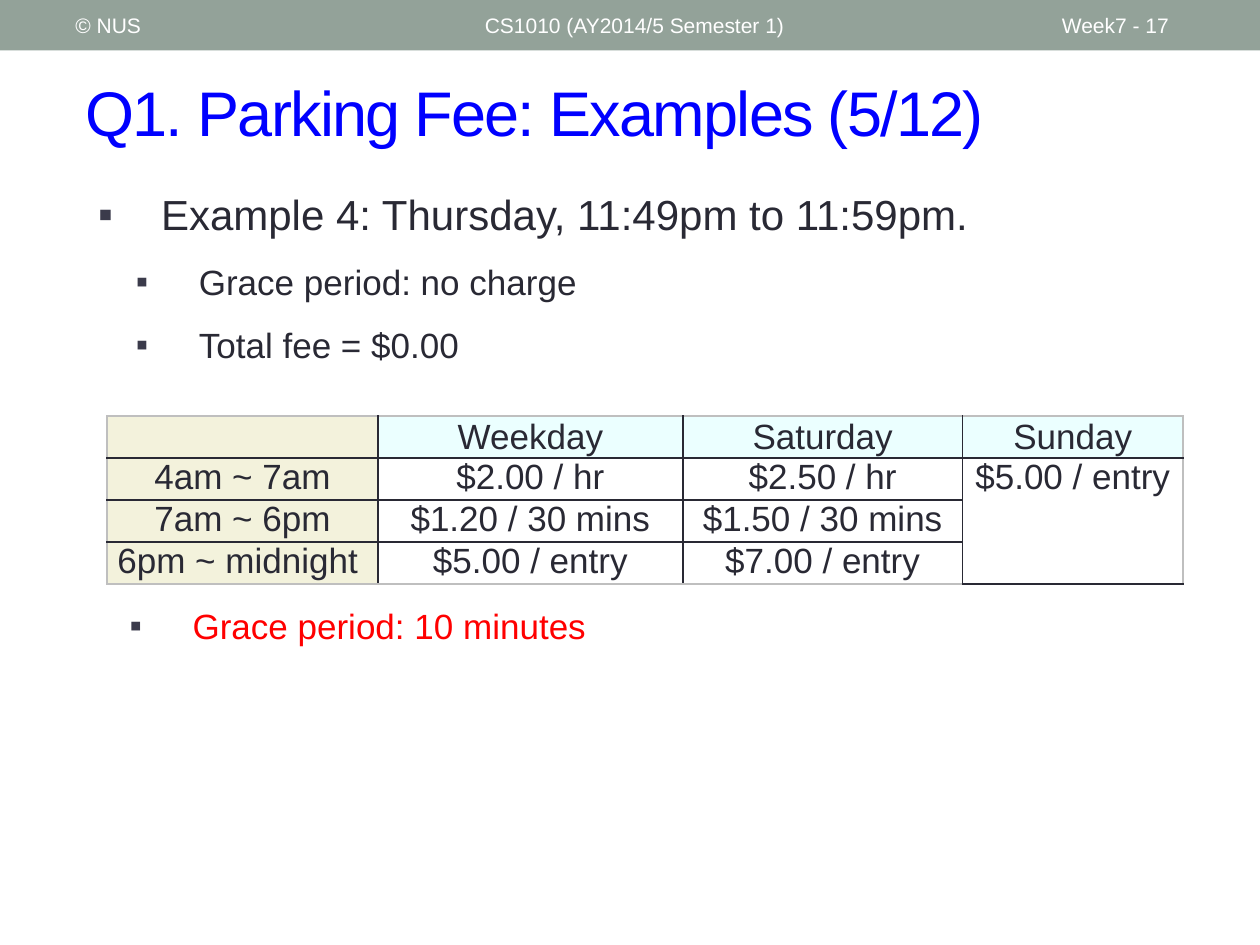
"""Builds the parking fee example slide with its rate table."""
from dataclasses import dataclass
from typing import Optional

from lxml.etree import SubElement
from pptx import Presentation
from pptx.dml.color import RGBColor
from pptx.enum.shapes import MSO_SHAPE as Shape
from pptx.enum.text import MSO_ANCHOR as Anchor, PP_ALIGN as Align
from pptx.oxml.ns import qn
from pptx.util import Inches, Pt

COLUMNS, ROWS = 100, 75


@dataclass(frozen=True)
class Theme:
    font: str = "Arial"
    band: str = "93A299"
    paper: str = "FFFFFF"
    ink: str = "292934"
    bullet: str = "3B3B4B"
    title: str = "0000FF"
    alert: str = "FF0000"
    edge: str = "BFBFBF"
    row_head: str = "F3F2DC"
    column_head: str = "EBFFFF"
    title_size: int = 36
    lead_size: int = 24
    body_size: int = 20
    band_size: int = 12


@dataclass(frozen=True)
class Area:
    left: float
    top: float
    width: float
    height: float


@dataclass(frozen=True)
class Line:
    text: str
    size: int
    color: str
    level: Optional[int] = None
    spacing: int = 0


THEME = Theme()
BAND_TOP, BAND_HEIGHT = 0.2, 3.6
BAND_LABELS = [
    ("© NUS", 5, 31.7),
    ("CS1010 (AY2014/5 Semester 1)", 37.5, 45),
    ("Week7 - 17", 83.3, 11.7),
]
TITLE = Line("Q1. Parking Fee: Examples (5/12)", THEME.title_size, THEME.title, spacing=-100)
EXAMPLE = [
    Line("Example 4: Thursday, 11:49pm to 11:59pm.", THEME.lead_size, THEME.ink, 0),
    Line("Grace period: no charge", THEME.body_size, THEME.ink, 1),
    Line("Total fee = $0.00", THEME.body_size, THEME.ink, 1),
]
GRACE = Line("Grace period: 10 minutes", THEME.body_size, THEME.alert, 1)
RATES = [
    ["", "Weekday", "Saturday", "Sunday"],
    ["4am ~ 7am", "$2.00 / hr", "$2.50 / hr", "$5.00 / entry"],
    ["7am ~ 6pm", "$1.20 / 30 mins", "$1.50 / 30 mins", ""],
    ["6pm ~ midnight ", "$5.00 / entry", "$7.00 / entry", ""],
]
RATE_WIDTHS = [21.5, 24.2, 22.2, 17.5]
RATE_HEIGHT = 3.1


def grid(units: float) -> int:
    return Inches(units * 10 / COLUMNS)


def place(area: Area) -> tuple:
    return tuple(map(grid, (area.left, area.top, area.width, area.height)))


def assign(target, values: dict) -> None:
    for name, value in values.items():
        setattr(target, name, value)


def add_color(parent, tag: str, color: str) -> None:
    SubElement(SubElement(parent, qn(tag)), qn("a:srgbClr"), val=color)


def write(para, line: Line) -> None:
    span = para.add_run()
    span.text = line.text
    assign(span.font, {"name": THEME.font, "size": Pt(line.size)})
    span.font.color.rgb = RGBColor.from_string(line.color)
    if line.spacing:
        span.font._element.set("spc", str(line.spacing))


def add_bullet(para, level: int) -> None:
    properties = para._p.get_or_add_pPr()
    properties.set("marL", str(Inches(0.5 + 0.3 * level)))
    properties.set("indent", str(Inches(-0.5)))
    add_color(properties, "a:buClr", THEME.bullet)
    SubElement(properties, qn("a:buFont"), typeface=THEME.font)
    SubElement(properties, qn("a:buChar"), char="▪")
    assign(para, {"level": level, "alignment": Align.JUSTIFY})


def add_text(page, area: Area, lines: list, anchor=Anchor.TOP) -> None:
    frame = page.shapes.add_textbox(*place(area)).text_frame
    assign(frame, {"word_wrap": True, "vertical_anchor": anchor})
    for index, line in enumerate(lines):
        para = frame.add_paragraph() if index else frame.paragraphs[0]
        if line.level is not None:
            add_bullet(para, line.level)
        if index:
            para.space_before = Pt(12)
        write(para, line)


def add_band(page) -> None:
    band = page.shapes.add_shape(Shape.RECTANGLE, *place(Area(0, 0, COLUMNS, 4)))
    band.shadow.inherit = False
    band.fill.solid()
    band.fill.fore_color.rgb = RGBColor.from_string(THEME.band)
    band.line.fill.background()
    for text, left, width in BAND_LABELS:
        label = Line(text, THEME.band_size, THEME.paper)
        add_text(page, Area(left, BAND_TOP, width, BAND_HEIGHT), [label], Anchor.MIDDLE)


def add_borders(cell, row: int, column: int) -> None:
    last_row, last_column = len(RATES) - 1, len(RATE_WIDTHS) - 1
    outer = {"L": column == 0, "R": column == last_column,
             "T": row == 0, "B": row == last_row}
    for side, is_edge in outer.items():
        border = SubElement(cell._tc.get_or_add_tcPr(), qn(f"a:ln{side}"), w=str(Pt(1)))
        add_color(border, "a:solidFill", THEME.edge if is_edge else THEME.ink)


def fill_cell(cell, text: str, row: int, column: int) -> None:
    add_borders(cell, row, column)
    cell.fill.solid()
    color = THEME.row_head if column == 0 else THEME.paper if row else THEME.column_head
    cell.fill.fore_color.rgb = RGBColor.from_string(color)
    assign(cell, {"margin_left": Inches(0.07), "margin_right": Inches(0.07),
                  "margin_top": 0, "margin_bottom": 0,
                  "vertical_anchor": Anchor.TOP if row else Anchor.MIDDLE})
    para = cell.text_frame.paragraphs[0]
    assign(para, {"alignment": Align.CENTER})
    if text:
        write(para, Line(text, THEME.body_size, THEME.ink))
    else:
        para.font.size = Pt(THEME.band_size)


def add_rates(page) -> None:
    area = Area(8.5, 33, sum(RATE_WIDTHS), RATE_HEIGHT * len(RATES))
    table = page.shapes.add_table(len(RATES), len(RATE_WIDTHS), *place(area)).table
    assign(table, {"first_row": False, "horz_banding": False})
    for column, width in zip(table.columns, RATE_WIDTHS):
        column.width = grid(width)
    for row in table.rows:
        row.height = grid(RATE_HEIGHT)
    for row, texts in enumerate(RATES):
        for column, text in enumerate(texts):
            fill_cell(table.cell(row, column), text, row, column)
    table.cell(1, 3).merge(table.cell(3, 3))


def main() -> None:
    deck = Presentation()
    assign(deck, {"slide_width": grid(COLUMNS), "slide_height": grid(ROWS)})
    page = deck.slides.add_slide(deck.slide_layouts[6])
    add_band(page)
    add_text(page, Area(6.8, 14.5, 89.1, 16.3), EXAMPLE)
    add_text(page, Area(5.8, 4.2, 91.7, 9.2), [TITLE], Anchor.MIDDLE)
    add_rates(page)
    add_text(page, Area(6.3, 47.5, 82.9, 4.4), [GRACE])
    deck.save("out.pptx")


if __name__ == "__main__":
    main()
